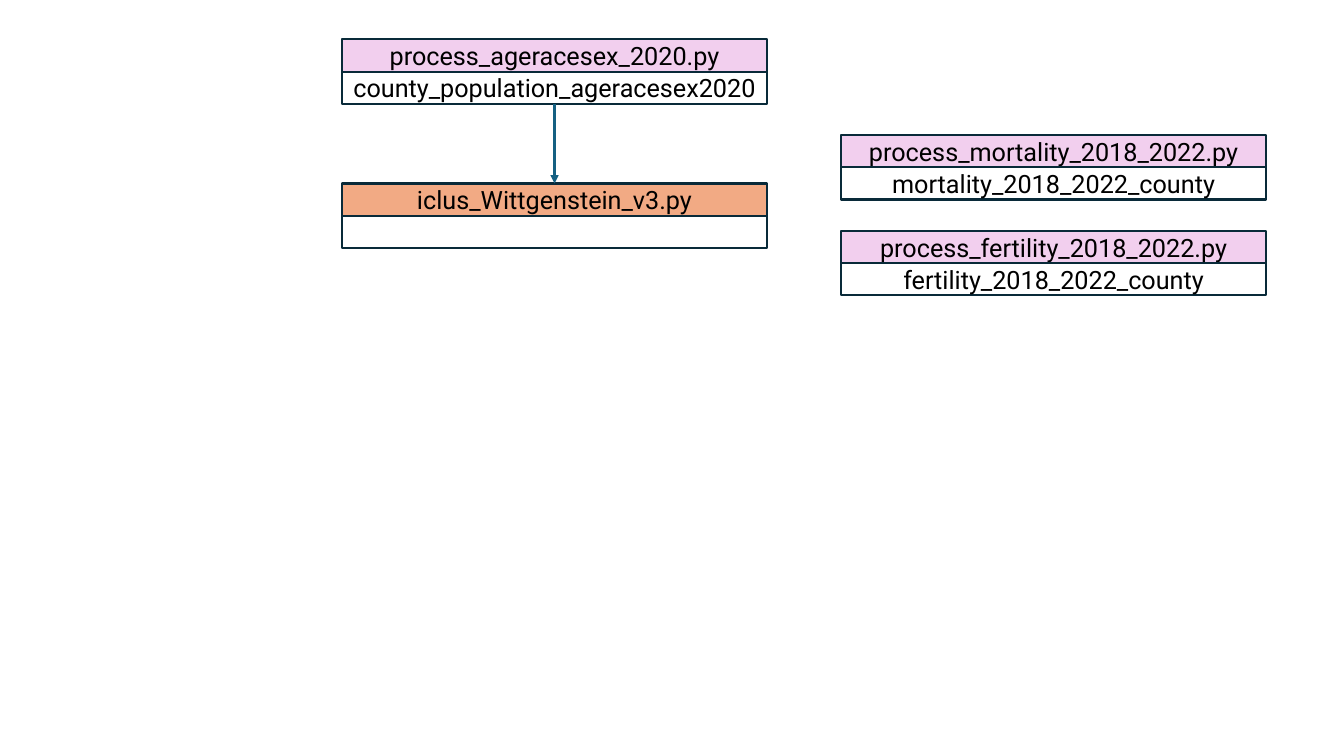
from dataclasses import dataclass

from lxml import etree
from pptx import Presentation
from pptx.dml.color import RGBColor
from pptx.enum.shapes import MSO_CONNECTOR, MSO_SHAPE
from pptx.enum.text import MSO_ANCHOR, PP_ALIGN
from pptx.oxml.ns import qn
from pptx.util import Inches, Pt

RECTANGLE = MSO_SHAPE.RECTANGLE
STRAIGHT = MSO_CONNECTOR.STRAIGHT
MIDDLE = MSO_ANCHOR.MIDDLE
CENTER = PP_ALIGN.CENTER
TOP_SIDE, BOTTOM_SIDE = 0, 2

# Content: name, script, output, role, left, top
MODULES = [
    ("population", "process_ageracesex_2020.py",
     "county_population_ageracesex2020", "process", 3.39, 0.39),
    ("model", "iclus_Wittgenstein_v3.py", "", "model", 3.39, 1.82),
    ("fertility", "process_fertility_2018_2022.py",
     "fertility_2018_2022_county", "process", 8.34, 2.29),
    ("mortality", "process_mortality_2018_2022.py",
     "mortality_2018_2022_county", "process", 8.34, 1.34),
]
FLOWS = [("population", "model")]
BOX_WIDTH, ROW_HEIGHT = 4.22, 0.32


@dataclass(frozen=True)
class Theme:
    process: RGBColor = RGBColor.from_string("F2CFEE")
    model: RGBColor = RGBColor.from_string("F2AA84")
    outline: RGBColor = RGBColor.from_string("092A39")
    arrow: RGBColor = RGBColor.from_string("156082")
    text: RGBColor = RGBColor.from_string("000000")
    font: str = "Roboto"
    size: Pt = Pt(18)
    stroke: Pt = Pt(1.5)


THEME = Theme()


def add_row(group, text, left, top, fill=None):
    box = group.shapes.add_shape(RECTANGLE, Inches(left), Inches(top),
                                 Inches(BOX_WIDTH), Inches(ROW_HEIGHT))
    box.shadow.inherit = False
    box.line.color.rgb = THEME.outline
    box.line.width = THEME.stroke
    if fill is None:
        box.fill.background()
    else:
        box.fill.solid()
        box.fill.fore_color.rgb = fill
    if text:
        frame = box.text_frame
        frame.text = text
        frame.word_wrap = True
        frame.vertical_anchor = MIDDLE
        frame.margin_left = frame.margin_right = Inches(0.05)
        para = frame.paragraphs[0]
        para.alignment = CENTER
        font = para.runs[0].font
        font.name = THEME.font
        font.size = THEME.size
        font.color.rgb = THEME.text
    return box


def add_module(page, script, output, role, left, top):
    group = page.shapes.add_group_shape()
    header = add_row(group, script, left, top, getattr(THEME, role))
    result = add_row(group, output, left, top + ROW_HEIGHT)
    return header, result


def add_arrow(page, source, target):
    arrow = page.shapes.add_connector(STRAIGHT, 0, 0, 0, 0)
    arrow.begin_connect(source, BOTTOM_SIDE)
    arrow.end_connect(target, TOP_SIDE)
    arrow.line.color.rgb = THEME.arrow
    arrow.line.width = THEME.stroke
    properties = arrow.element.spPr
    etree.SubElement(properties.find(qn("a:ln")), qn("a:tailEnd"), type="triangle")
    etree.SubElement(properties, qn("a:effectLst"))


def main():
    deck = Presentation()
    deck.slide_width, deck.slide_height = Inches(13.33), Inches(7.5)
    page = deck.slides.add_slide(deck.slide_layouts[6])

    # Script boxes with their outputs
    modules = {name: add_module(page, *details) for name, *details in MODULES}

    # Data flow
    for source, target in FLOWS:
        add_arrow(page, modules[source][1], modules[target][0])

    deck.save("out.pptx")


if __name__ == "__main__":
    main()
